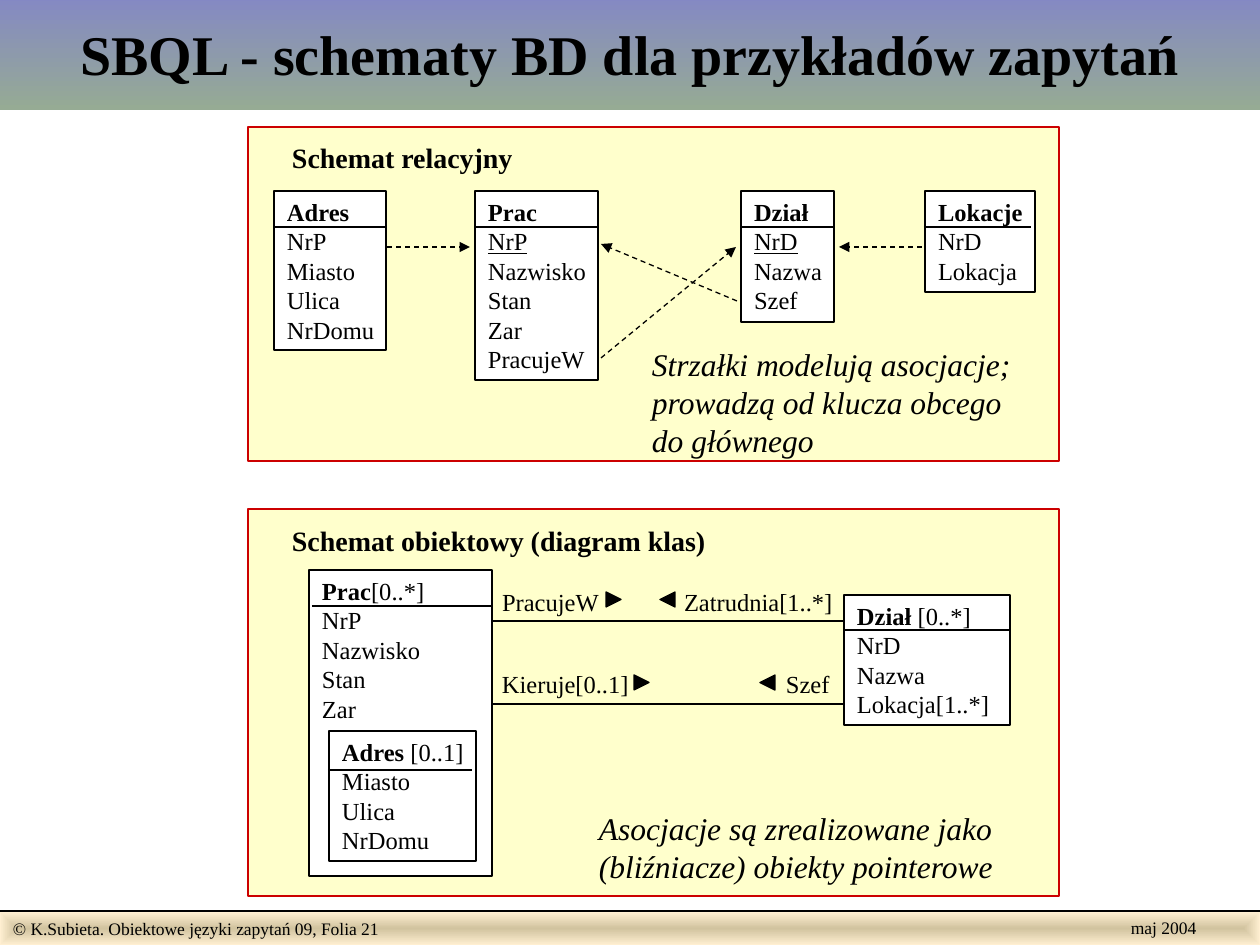
from dataclasses import dataclass

from lxml import etree
from pptx import Presentation
from pptx.dml.color import RGBColor
from pptx.enum.dml import MSO_LINE
from pptx.enum.shapes import MSO_CONNECTOR, MSO_SHAPE
from pptx.enum.text import MSO_ANCHOR, MSO_AUTO_SIZE, PP_ALIGN
from pptx.oxml.ns import qn
from pptx.util import Emu, Pt

RECTANGLE = MSO_SHAPE.RECTANGLE
TRIANGLE = MSO_SHAPE.ISOSCELES_TRIANGLE
STRAIGHT = MSO_CONNECTOR.STRAIGHT
DASH = MSO_LINE.DASH
TOP, MIDDLE = MSO_ANCHOR.TOP, MSO_ANCHOR.MIDDLE
LEFT, CENTER = PP_ALIGN.LEFT, PP_ALIGN.CENTER
GROW, FIXED = MSO_AUTO_SIZE.SHAPE_TO_FIT_TEXT, MSO_AUTO_SIZE.NONE
EMU_PER_PX = 914400 / 126
TITLE_ONLY = 5
PADDED, OPEN_RIGHT, FLUSH = (13, 6, 13, 6), (13, 6, 0, 6), (0, 0, 0, 0)


@dataclass(frozen=True)
class Theme:
    font: str = "Times New Roman"
    ink: str = "000000"
    paper: str = "FFFFFF"
    panel: str = "FFFFCC"
    panel_edge: str = "CC0000"
    title_stops: tuple = ("8488C4", "96AB94")
    footer_stops: tuple = ("D1C39F", "FFEFD1")
    title: int = 32
    note: int = 18
    heading: int = 16
    body: int = 14
    footer: int = 10
    thin: float = 0.75
    thick: float = 1


THEME = Theme()
BOLD, ITALIC, UNDERLINE = {"bold": True}, {"italic": True}, {"underline": True}


def px(*values):
    return [Emu(round(value * EMU_PER_PX)) for value in values]


def color(code):
    return RGBColor.from_string(code)


def set_all(target, values):
    for name, value in values.items():
        setattr(target, name, value)


def write(shape, lines, size, align=LEFT, anchor=TOP, insets=PADDED, fit=GROW):
    frame = shape.text_frame
    sides = ("margin_left", "margin_top", "margin_right", "margin_bottom")
    set_all(frame, dict(zip(sides, px(*insets))))
    set_all(frame, {"vertical_anchor": anchor, "word_wrap": True, "auto_size": fit})
    for index, spans in enumerate(lines):
        para = frame.add_paragraph() if index else frame.paragraphs[0]
        para.alignment = align
        for text, style in spans:
            span = para.add_run()
            span.text = text
            set_all(span.font, {"name": THEME.font, "size": Pt(size), **style})
            span.font.color.rgb = color(THEME.ink)


def add_box(shapes, bounds, fill=None, edge=None, weight=THEME.thin, kind=RECTANGLE):
    box = shapes.add_shape(kind, *px(*bounds))
    box.shadow.inherit = False
    if fill:
        box.fill.solid()
        box.fill.fore_color.rgb = color(fill)
    else:
        box.fill.background()
    if edge:
        box.line.color.rgb = color(edge)
        box.line.width = Pt(weight)
    else:
        box.line.fill.background()
    return box


def add_line(shapes, start, end, weight=THEME.thin, arrow=False):
    line = shapes.add_connector(STRAIGHT, *px(*start, *end))
    line.line.color.rgb = color(THEME.ink)
    line.line.width = Pt(weight)
    if arrow:
        line.line.dash_style = DASH
        tail = etree.SubElement(line.line._ln, qn("a:tailEnd"))
        tail.set("type", "triangle")
    etree.SubElement(line._element.spPr, qn("a:effectLst"))


def add_label(shapes, bounds, text, size=THEME.body, style=None, insets=FLUSH):
    label = shapes.add_textbox(*px(*bounds))
    write(label, [[(text, style or {})]], size, insets=insets)


def add_class(shapes, bounds, heading, fields, divider, weight=THEME.thin,
              rule=THEME.thin, fill=THEME.paper):
    group = shapes.add_group_shape().shapes
    box = add_box(group, bounds, fill, THEME.ink, weight)
    name, count, key = heading
    lines = [[(name, BOLD)] + ([(count, {})] if count else [])]
    lines += [[(field, UNDERLINE if field == key else {})] for field in fields]
    write(box, lines, THEME.body, insets=OPEN_RIGHT)
    left, right, level = divider
    add_line(group, (left, level), (right, level), rule)


def add_pointer(shapes, left, top, rotation):
    pointer = add_box(shapes, (left, top, 15, 15), THEME.ink, THEME.ink, kind=TRIANGLE)
    pointer.rotation = rotation


def set_gradient(shape, stops, centered=False):
    shape.fill.gradient()
    for stop, code, position in zip(shape.fill.gradient_stops, stops, (0, 1)):
        stop.color.rgb = color(code)
        stop.position = position
    if not centered:
        shape.fill.gradient_angle = 270
        return
    linear = shape._element.spPr.find(".//" + qn("a:lin"))
    route = etree.Element(qn("a:path"), path="rect")
    etree.SubElement(route, qn("a:fillToRect"), l="50000", t="50000", r="50000", b="50000")
    linear.getparent().replace(linear, route)


def add_title(page):
    title = page.shapes.title
    set_all(title, dict(zip(("left", "top", "width", "height"), px(0, -4, 1260, 114))))
    set_gradient(title, THEME.title_stops)
    write(title, [[("SBQL - schematy BD dla przykładów zapytań", BOLD)]],
          THEME.title, CENTER, MIDDLE, fit=FIXED)


def add_footer(shapes):
    bar = add_box(shapes, (0, 912, 1260, 33))
    set_gradient(bar, THEME.footer_stops, centered=True)
    write(bar, [[("© K.Subieta. Obiektowe języki zapytań 09, Folia 21", {})]], THEME.footer)
    add_line(shapes, (0, 911), (1260, 911), THEME.thick)
    add_label(shapes, (1118, 911, 91, 34), "maj 2004", THEME.footer, insets=OPEN_RIGHT)


def add_panel(shapes, bounds, heading, heading_bounds):
    add_box(shapes, bounds, THEME.panel, THEME.panel_edge)
    add_label(shapes, heading_bounds, heading, THEME.heading, BOLD)


def add_relational_schema(shapes):
    add_panel(shapes, (248, 127, 811, 334), "Schemat relacyjny", (292, 141, 236, 34))
    add_class(shapes, (475, 191, 123, 189), ("Prac", "", "NrP"),
              ["NrP", "Nazwisko", "Stan", "Zar", "PracujeW"], (475, 598, 227))
    add_class(shapes, (741, 191, 93, 131), ("Dział", "", "NrD"),
              ["NrD", "Nazwa", "Szef"], (741, 834, 227))
    add_class(shapes, (925, 191, 110, 101), ("Lokacje", "", ""),
              ["NrD", "Lokacja"], (924, 1031, 227))
    add_class(shapes, (274, 191, 112, 159), ("Adres", "", ""),
              ["NrP", "Miasto", "Ulica", "NrDomu"], (274, 386, 227), THEME.thick)
    for start, end in [((737, 301), (601, 244)), ((601, 358), (736, 247)),
                       ((387, 247), (470, 247)), ((922, 247), (839, 247))]:
        add_line(shapes, start, end, arrow=True)
    add_label(shapes, (639, 339, 412, 126),
              "Strzałki modelują asocjacje; prowadzą od klucza obcego do głównego",
              THEME.note, ITALIC, PADDED)


def add_object_schema(shapes):
    add_panel(shapes, (248, 509, 811, 387), "Schemat obiektowy (diagram klas)",
              (292, 524, 430, 34))
    strong = {"weight": THEME.thick, "rule": THEME.thick}
    add_class(shapes, (844, 595, 166, 130), ("Dział ", "[0..*]", ""),
              ["NrD", "Nazwa", "Lokacja[1..*]"], (845, 1010, 630), **strong)
    add_class(shapes, (309, 570, 183, 306), ("Prac", "[0..*]", ""),
              ["NrP", "Nazwisko", "Stan", "Zar"], (312, 493, 606), **strong)
    add_class(shapes, (329, 731, 147, 130), ("Adres ", "[0..1]", ""),
              ["Miasto", "Ulica", "NrDomu"], (328, 472, 770), fill=None, **strong)
    for level in (621, 704):
        add_line(shapes, (492, level), (844, level))
    for text, bounds in [("PracujeW", (502, 587, 105, 29)),
                         ("Zatrudnia[1..*]", (684, 587, 158, 29)),
                         ("Kieruje[0..1]", (502, 669, 136, 29)),
                         ("Szef", (786, 669, 52, 29))]:
        add_label(shapes, bounds, text)
    for left, top, rotation in [(606, 592, 90), (660, 592, 270),
                                (634, 675, 90), (760, 675, 270)]:
        add_pointer(shapes, left, top, rotation)
    add_label(shapes, (586, 803, 464, 88),
              "Asocjacje są zrealizowane jako (bliźniacze) obiekty pointerowe",
              THEME.note, ITALIC, PADDED)


def main():
    deck = Presentation()
    deck.slide_width, deck.slide_height = px(1260, 945)
    page = deck.slides.add_slide(deck.slide_layouts[TITLE_ONLY])
    add_footer(page.shapes)
    add_title(page)
    add_relational_schema(page.shapes)
    add_object_schema(page.shapes)
    deck.save("out.pptx")


if __name__ == "__main__":
    main()
